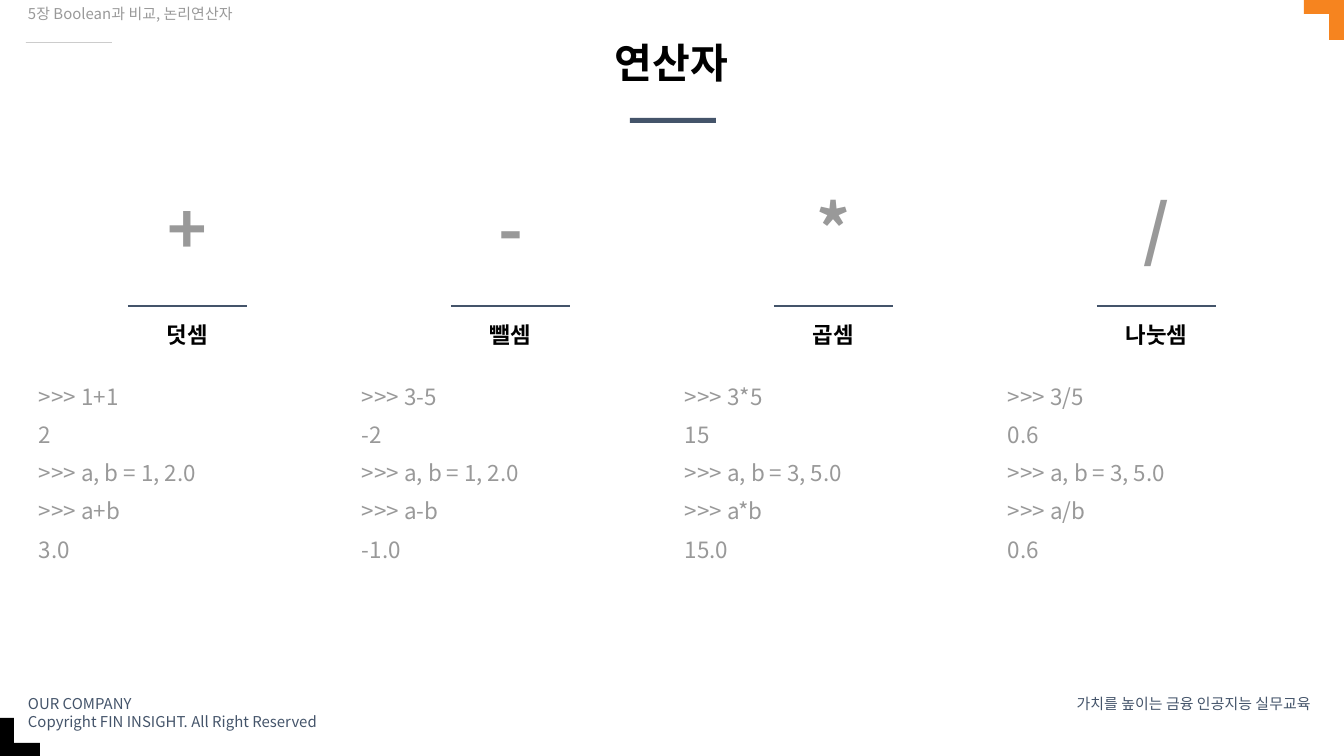
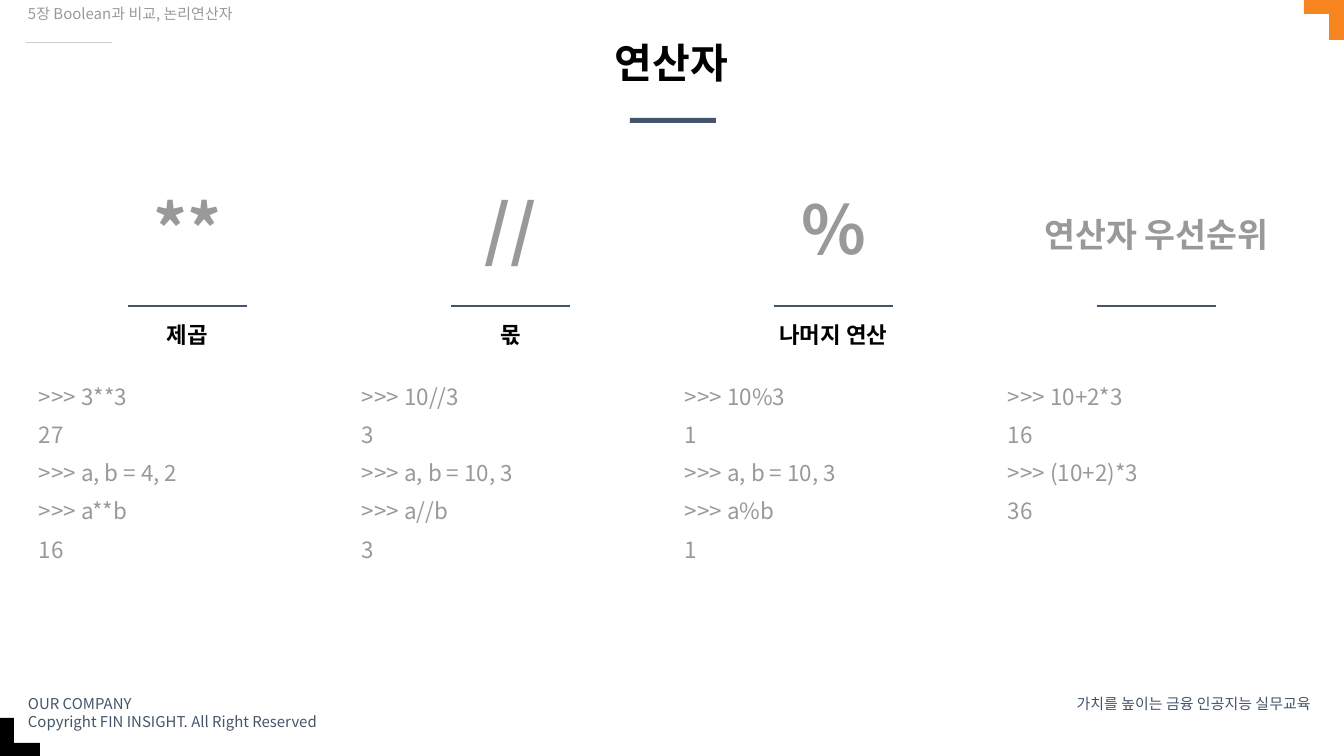
import pptx
import pptx.util
import pptx.dml.color
import pptx.enum.shapes
import pptx.enum.text
import pptx.oxml.ns
import lxml.etree

RGBColor = pptx.dml.color.RGBColor
Pt = pptx.util.Pt
ALIGN = pptx.enum.text.PP_ALIGN
ANCHOR = pptx.enum.text.MSO_ANCHOR

# Shared look
NAVY = RGBColor(0x44, 0x54, 0x6A)
GRAY = RGBColor(0x99, 0x99, 0x99)
PALE = RGBColor(0xCC, 0xCC, 0xCC)
ORANGE = RGBColor(0xF6, 0x84, 0x1F)
BLACK = RGBColor(0, 0, 0)
FONT = "Noto Sans CJK KR"
EMU_PER_PX = 914400 / 134.4
WIDE_INSET, NARROW_INSET = (13, 7), (5, 3)

# Text styles: font values, then paragraph values
FOOTER = {"size": Pt(8)}, {}
CHAPTER = {"size": Pt(8)}, {"line_spacing": 0.9}
TITLE = {"size": Pt(22), "bold": True}, {"line_spacing": 0.9, "alignment": ALIGN.CENTER}
SYMBOL = {"size": Pt(36), "bold": True}, {"line_spacing": 0.9, "alignment": ALIGN.CENTER}
HEADING = {"size": Pt(18), "bold": True}, {"line_spacing": 0.9, "alignment": ALIGN.CENTER}
NAME = {"size": Pt(12), "bold": True}, {"line_spacing": 0.9, "alignment": ALIGN.CENTER}
CODE = {"size": Pt(12)}, {"line_spacing": 0.9}

# Column grid
COLUMN_LEFT, COLUMN_WIDTH = 26, 323
RULE_OFFSET, RULE_WIDTH, RULE_TOP = 102, 119, 306

# Corner marks and bars: left, top, width, height, colour
BARS = [
    (630, 118, 86, 5, NAVY),
    (26, 42, 86, 1, PALE),
    (0, 743, 40, 13, BLACK),
    (0, 718, 14, 38, BLACK),
    (1304, 0, 40, 14, ORANGE),
    (1329, 0, 15, 40, ORANGE),
]

# Each column: symbol, name, console lines
BASIC_OPERATORS = [
    ("+", "덧셈", [">>> 1+1", "2", ">>> a, b = 1, 2.0", ">>> a+b", "3.0"]),
    ("-", "뺄셈", [">>> 3-5", "-2", ">>> a, b = 1, 2.0", ">>> a-b", "-1.0"]),
    ("*", "곱셈", [">>> 3*5", "15", ">>> a, b = 3, 5.0", ">>> a*b", "15.0"]),
    ("/", "나눗셈", [">>> 3/5", "0.6", ">>> a, b = 3, 5.0", ">>> a/b", "0.6"]),
]
MORE_OPERATORS = [
    ("**", "제곱", [">>> 3**3", "27", ">>> a, b = 4, 2", ">>> a**b", "16"]),
    ("//", "몫", [">>> 10//3", "3", ">>> a, b = 10, 3", ">>> a//b", "3"]),
    ("%", "나머지 연산", [">>> 10%3", "1", ">>> a, b = 10, 3", ">>> a%b", "1"]),
    ("연산자 우선순위", None, [">>> 10+2*3", "16", ">>> (10+2)*3", "36"]),
]


def px(*lengths):
    return [pptx.util.Emu(round(length * EMU_PER_PX)) for length in lengths]


def set_values(target, values):
    for name, value in values.items():
        setattr(target, name, value)


def add_text(slide, box, lines, style, color, inset=WIDE_INSET,
             anchor=ANCHOR.TOP, gap=None, **paragraph_extra):
    font_values, paragraph_values = style
    frame = slide.shapes.add_textbox(*px(*box)).text_frame
    side, top = px(*inset)
    set_values(frame, {
        "word_wrap": True, "vertical_anchor": anchor,
        "margin_left": side, "margin_right": side,
        "margin_top": top, "margin_bottom": top,
    })
    for index, line in enumerate(lines):
        paragraph = frame.add_paragraph() if index else frame.paragraphs[0]
        set_values(paragraph, {**paragraph_values, **paragraph_extra})
        if index and gap:
            paragraph.space_before = gap
        run = paragraph.add_run()
        run.text = line
        set_values(run.font, {"name": FONT, **font_values})
        run.font.color.rgb = color
        # Korean glyphs take the East Asian typeface
        properties = run._r.get_or_add_rPr()
        lxml.etree.SubElement(properties, pptx.oxml.ns.qn("a:ea"), typeface=FONT)


def add_bar(slide, left, top, width, height, color):
    shape = slide.shapes.add_shape(
        pptx.enum.shapes.MSO_SHAPE.RECTANGLE, *px(left, top, width, height))
    shape.shadow.inherit = False
    shape.fill.solid()
    shape.fill.fore_color.rgb = color
    shape.line.fill.background()


def add_rule(slide, left, top, width):
    rule = slide.shapes.add_connector(
        pptx.enum.shapes.MSO_CONNECTOR.STRAIGHT, *px(left, top, left + width, top))
    rule.line.color.rgb = NAVY
    rule.line.width = Pt(0.75)
    lxml.etree.SubElement(rule._element.spPr, pptx.oxml.ns.qn("a:effectLst"))


def add_frame(slide):
    """Bars, footers, chapter label and title found on every slide."""
    for bar in BARS:
        add_bar(slide, *bar)
    add_text(slide, (15, 688, 400, 36),
             ["OUR COMPANY", "Copyright FIN INSIGHT. All Right Reserved"], FOOTER, NAVY)
    add_text(slide, (1043, 688, 281, 23), ["가치를 높이는 금융 인공지능 실무교육"],
             FOOTER, NAVY, alignment=ALIGN.RIGHT)
    add_text(slide, (146, 40, 1051, 54), ["연산자"], TITLE, BLACK, NARROW_INSET)
    add_text(slide, (15, 0, 382, 54), ["5장 Boolean과 비교, 논리연산자"], CHAPTER, GRAY)


def add_operator(slide, left, symbol, name, code):
    symbol_box = (left, 190, COLUMN_WIDTH, 93)
    if name:
        add_text(slide, symbol_box, [symbol], SYMBOL, GRAY)
        add_text(slide, (left, 321, COLUMN_WIDTH, 44), [name], NAME, BLACK, NARROW_INSET)
    else:
        add_text(slide, symbol_box, [symbol], HEADING, GRAY, anchor=ANCHOR.MIDDLE)
    add_rule(slide, left + RULE_OFFSET, RULE_TOP, RULE_WIDTH)
    add_text(slide, (left, 379, COLUMN_WIDTH, 274), code, CODE, GRAY, gap=Pt(7.5))


def main():
    presentation = pptx.Presentation()
    presentation.slide_width, presentation.slide_height = px(1344, 756)
    for operators in (BASIC_OPERATORS, MORE_OPERATORS):
        slide = presentation.slides.add_slide(presentation.slide_layouts[6])
        add_frame(slide)
        for column, operator in enumerate(operators):
            add_operator(slide, COLUMN_LEFT + column * COLUMN_WIDTH, *operator)
    presentation.save("out.pptx")


if __name__ == "__main__":
    main()
